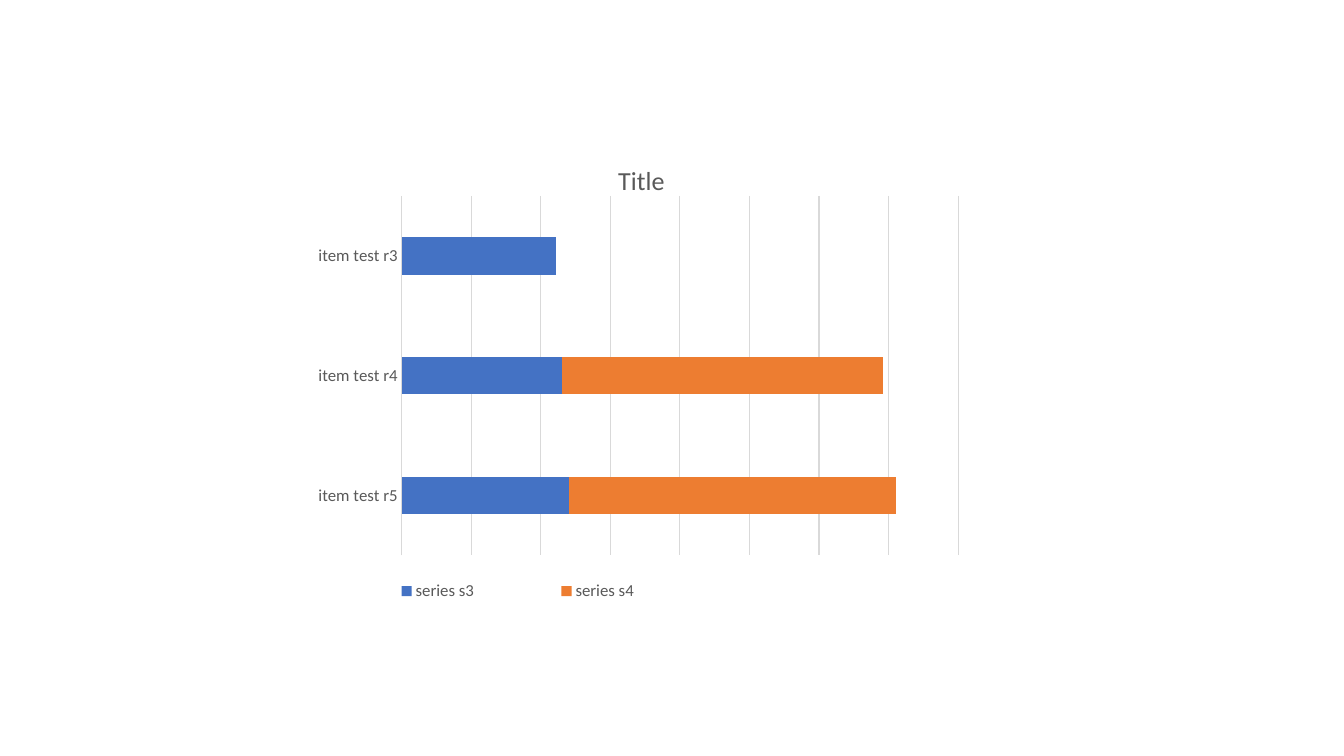
from dataclasses import dataclass
from typing import Any, Optional

from lxml.etree import Element, SubElement
from pptx import Presentation
from pptx.chart.data import CategoryChartData
from pptx.dml.color import RGBColor
from pptx.enum.chart import XL_CHART_TYPE, XL_LEGEND_POSITION, XL_TICK_LABEL_POSITION, XL_TICK_MARK
from pptx.oxml.ns import qn
from pptx.util import Inches, Pt


@dataclass(frozen=True)
class Theme:
    font: str = "Calibri"
    text: str = "595959"
    line: str = "D9D9D9"
    title_size: float = 18.6
    label_size: float = 12
    line_width: float = 0.75


@dataclass(frozen=True)
class BarSeries:
    name: str
    values: tuple[Optional[float], ...]
    color: str


THEME = Theme()
ITEMS = ("item test r3", "item test r4", "item test r5")
SERIES = (
    BarSeries("series s3", (47, 49, 51), "4472C4"),
    BarSeries("series s4", (None, 98, 100), "ED7D31"),
)
SCALE_MAX = 170
GRID_INTERVALS = 8


def style_font(font: Any, size: float, color: str = THEME.text) -> None:
    font.name = THEME.font
    font.size = Pt(size)
    font.bold = False
    font.color.rgb = RGBColor.from_string(color)


def write_text(frame: Any, text: str, *, size: float, color: str = THEME.text) -> None:
    run = frame.paragraphs[0].add_run()
    run.text = text
    style_font(run.font, size, color)


def style_line(line: Any) -> None:
    line.color.rgb = RGBColor.from_string(THEME.line)
    line.width = Pt(THEME.line_width)


def place(part: Any, index: int, inner: bool = False, **fractions: float) -> None:
    """Position a chart part by fractions of the chart's size."""
    for previous in part.findall(qn("c:layout")):
        part.remove(previous)
    layout = Element(qn("c:layout"))
    manual = SubElement(layout, qn("c:manualLayout"))
    if inner:
        SubElement(manual, qn("c:layoutTarget"), val="inner")
    for side in ("x", "y"):
        SubElement(manual, qn(f"c:{side}Mode"), val="edge")
    for side, fraction in fractions.items():
        SubElement(manual, qn(f"c:{side}"), val=str(fraction))
    part.insert(index, layout)


def add_bar_chart(slide: Any) -> Any:
    chart_data = CategoryChartData()
    chart_data.categories = ITEMS
    for series in SERIES:
        chart_data.add_series(series.name, series.values)
    chart = slide.shapes.add_chart(
        XL_CHART_TYPE.BAR_STACKED,
        Inches(2.97), Inches(1.35), Inches(6.77), Inches(5.22), chart_data,
    ).chart
    style_font(chart.font, THEME.label_size)

    # Bars
    bars = chart.plots[0]
    bars.gap_width = 219
    bars.overlap = 100
    bars.vary_by_categories = False
    for drawn, series in zip(bars.series, SERIES):
        drawn.format.fill.solid()
        drawn.format.fill.fore_color.rgb = RGBColor.from_string(series.color)
    plot_area = chart._chartSpace.find(qn("c:chart")).find(qn("c:plotArea"))
    place(plot_area, 0, inner=True, x=0.15, y=0.114, w=0.815, h=0.683)
    return chart


def style_axes(chart: Any) -> None:
    items = chart.category_axis
    items.reverse_order = True
    items.has_major_gridlines = False
    items.major_tick_mark = XL_TICK_MARK.NONE
    items.minor_tick_mark = XL_TICK_MARK.NONE
    items.tick_label_position = XL_TICK_LABEL_POSITION.NEXT_TO_AXIS
    style_font(items.tick_labels.font, THEME.label_size)
    style_line(items.format.line)

    scale = chart.value_axis
    scale.minimum_scale = 0
    scale.maximum_scale = SCALE_MAX
    scale.major_unit = SCALE_MAX / GRID_INTERVALS
    scale.has_major_gridlines = True
    style_line(scale.major_gridlines.format.line)
    scale.visible = False


def add_title(chart: Any) -> None:
    chart.has_title = True
    heading = chart.chart_title
    write_text(heading.text_frame, "Title", size=THEME.title_size)
    heading.include_in_layout = False
    place(heading._element, 1, x=0.46, y=0.04)


def add_legend(chart: Any) -> None:
    chart.has_legend = True
    legend = chart.legend
    legend.position = XL_LEGEND_POSITION.BOTTOM
    legend.include_in_layout = False
    style_font(legend.font, THEME.label_size)
    place(legend._element, 1, x=0.03, y=0.83, w=0.58, h=0.07)


def main() -> None:
    presentation = Presentation()
    presentation.slide_width = Inches(13.33)
    presentation.slide_height = Inches(7.5)
    slide = presentation.slides.add_slide(presentation.slide_layouts[6])

    # Stacked bars with their axes, title and legend
    chart = add_bar_chart(slide)
    style_axes(chart)
    add_title(chart)
    add_legend(chart)

    presentation.save("out.pptx")


if __name__ == "__main__":
    main()
